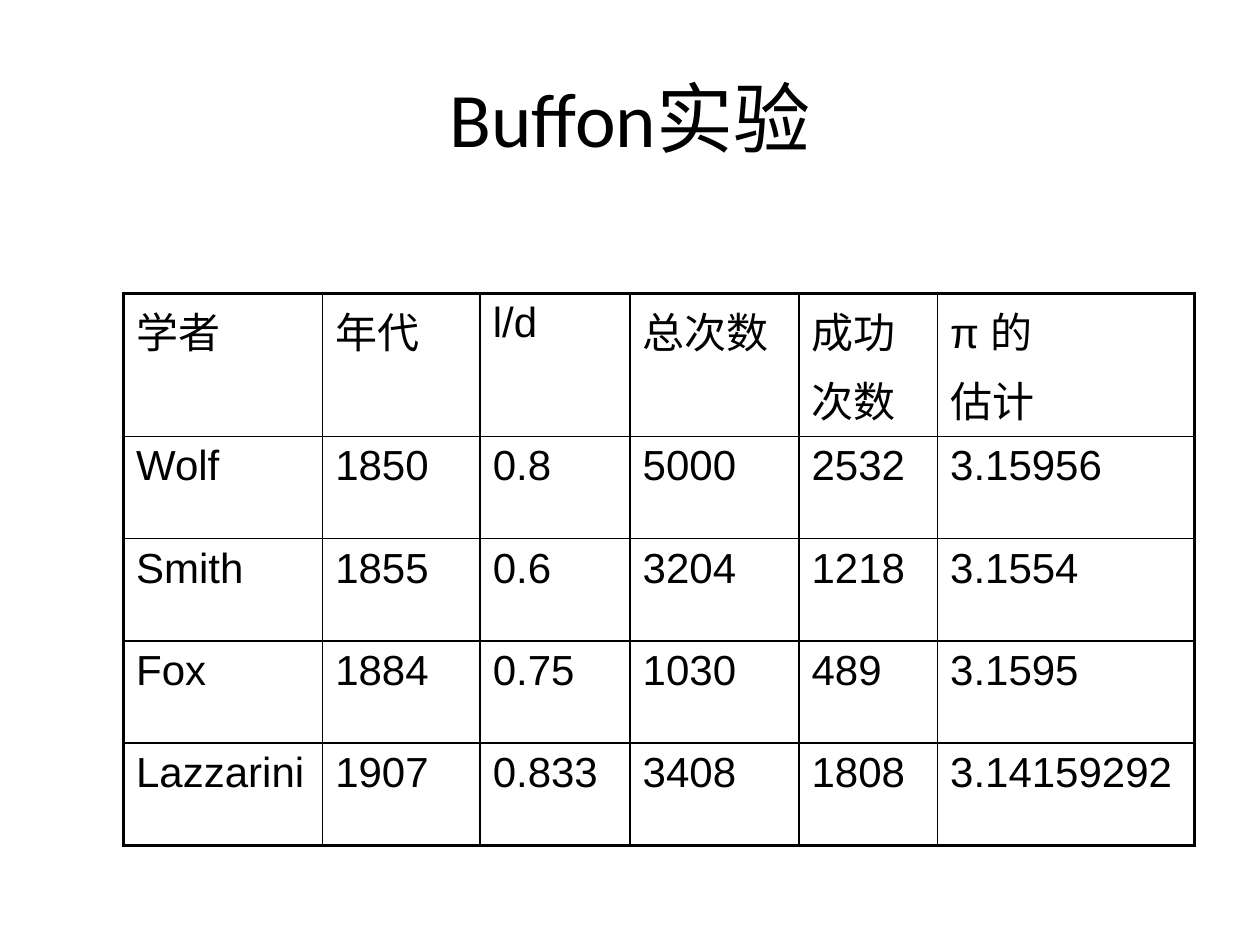
from typing import NamedTuple

from lxml.etree import SubElement as Sub
from pptx import Presentation as Deck
from pptx.dml.color import RGBColor as Rgb
from pptx.enum.text import MSO_ANCHOR as Anchor, PP_ALIGN as Align
from pptx.oxml.ns import qn
from pptx.util import Pt

INK = {"text": "000000", "line": "000000"}
THIN, THICK = 1, 2.25
HEAD, BODY = 70.6, 58.4


class Col(NamedTuple):
    width: float
    cells: tuple[str, ...]


COLS = [
    Col(113.8, ("学者", "Wolf", "Smith", "Fox", "Lazzarini")),
    Col(90, ("年代", "1850", "1855", "1884", "1907")),
    Col(85.7, ("l/d", "0.8", "0.6", "0.75", "0.833")),
    Col(96.5, ("总次数", "5000", "3204", "1030", "3408")),
    Col(79.2, ("成功\n次数", "2532", "1218", "489", "1808")),
    Col(146.9, ("π 的\n估计", "3.15956", "3.1554", "3.1595", "3.14159292")),
]


def style(par, face: str, size: float) -> None:
    for run in par.runs:
        run.font.name = face
        run.font.size = Pt(size)
        run.font.color.rgb = Rgb.from_string(INK["text"])


def edge(cell, side: str, width: float) -> None:
    line = Sub(cell._tc.get_or_add_tcPr(), qn(f"a:ln{side}"), w=str(Pt(width)))
    fill = Sub(line, qn("a:solidFill"))
    Sub(fill, qn("a:srgbClr"), val=INK["line"])


def write(cell, text: str) -> None:
    cell.text_frame.text = text
    for par in cell.text_frame.paragraphs:
        gap = Sub(par._p.get_or_add_pPr(), qn("a:spcBef"))
        Sub(gap, qn("a:spcPct"), val="20000")
        style(par, "Arial", 24)


def title(slide, text: str) -> None:
    box = slide.shapes.title
    box.left, box.top, box.width, box.height = Pt(36), Pt(21.6), Pt(648), Pt(90)
    frame = box.text_frame
    frame.text = text
    frame.vertical_anchor = Anchor.MIDDLE
    par = frame.paragraphs[0]
    par.alignment = Align.CENTER
    style(par, "Calibri", 44)


def grid(slide, cols: list[Col]) -> None:
    count = len(cols[0].cells)
    wide = sum(col.width for col in cols)
    tall = HEAD + BODY * (count - 1)
    table = slide.shapes.add_table(
        count, len(cols), Pt(70.6), Pt(167.8), Pt(wide), Pt(tall)
    ).table
    table.first_row = table.horz_banding = False
    for r, row in enumerate(table.rows):
        row.height = Pt(BODY if r else HEAD)
    for c, col in enumerate(cols):
        table.columns[c].width = Pt(col.width)
        for r, text in enumerate(col.cells):
            cell = table.cell(r, c)
            write(cell, text)
            outer = {
                "L": c == 0,
                "R": c == len(cols) - 1,
                "T": r == 0,
                "B": r == count - 1,
            }
            for side, rim in outer.items():
                edge(cell, side, THICK if rim else THIN)
            cell.fill.background()


def main() -> None:
    deck = Deck()
    deck.slide_width, deck.slide_height = Pt(720), Pt(540)
    slide = deck.slides.add_slide(deck.slide_layouts[5])
    title(slide, "Buffon实验")
    grid(slide, COLS)
    deck.save("out.pptx")


if __name__ == "__main__":
    main()
